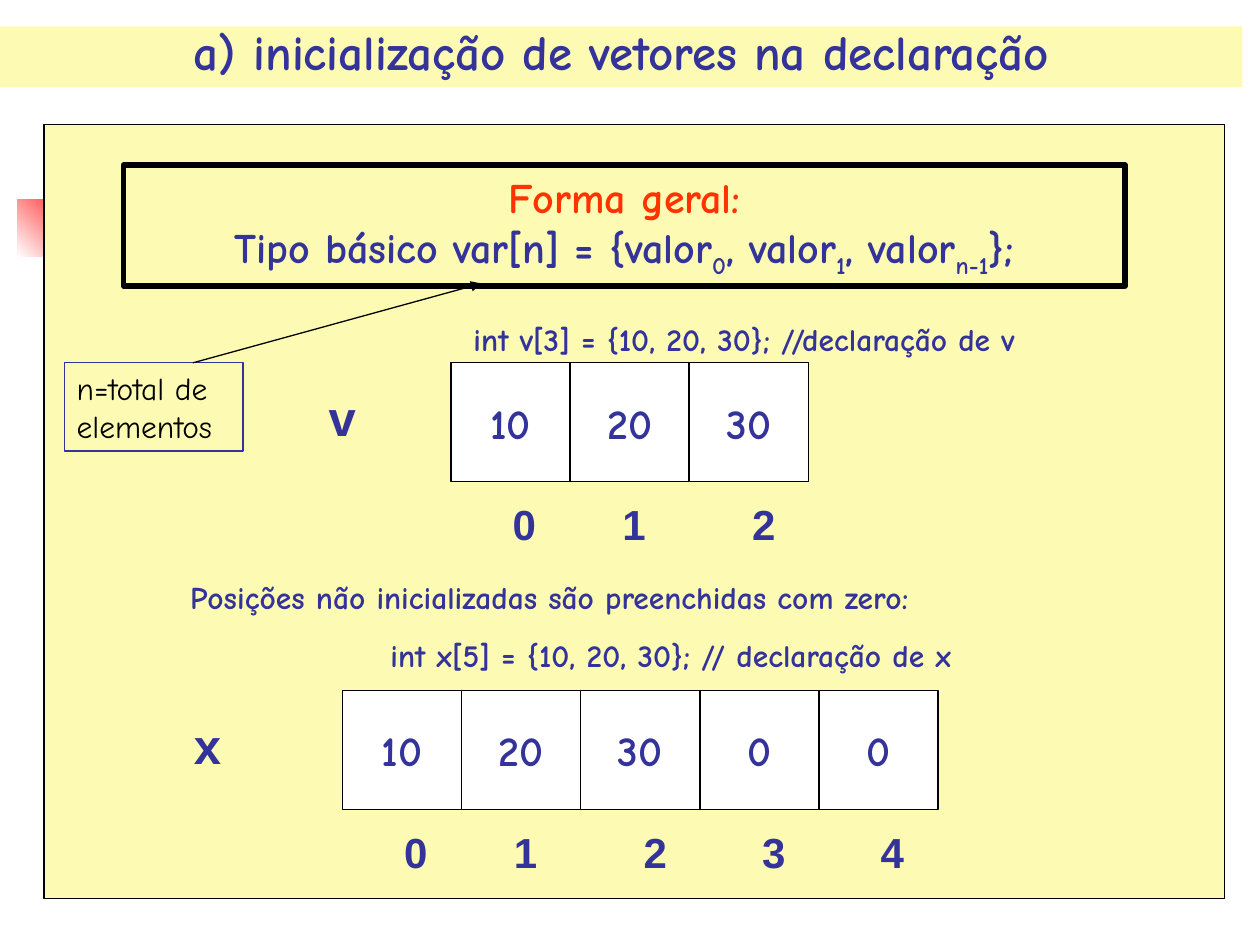
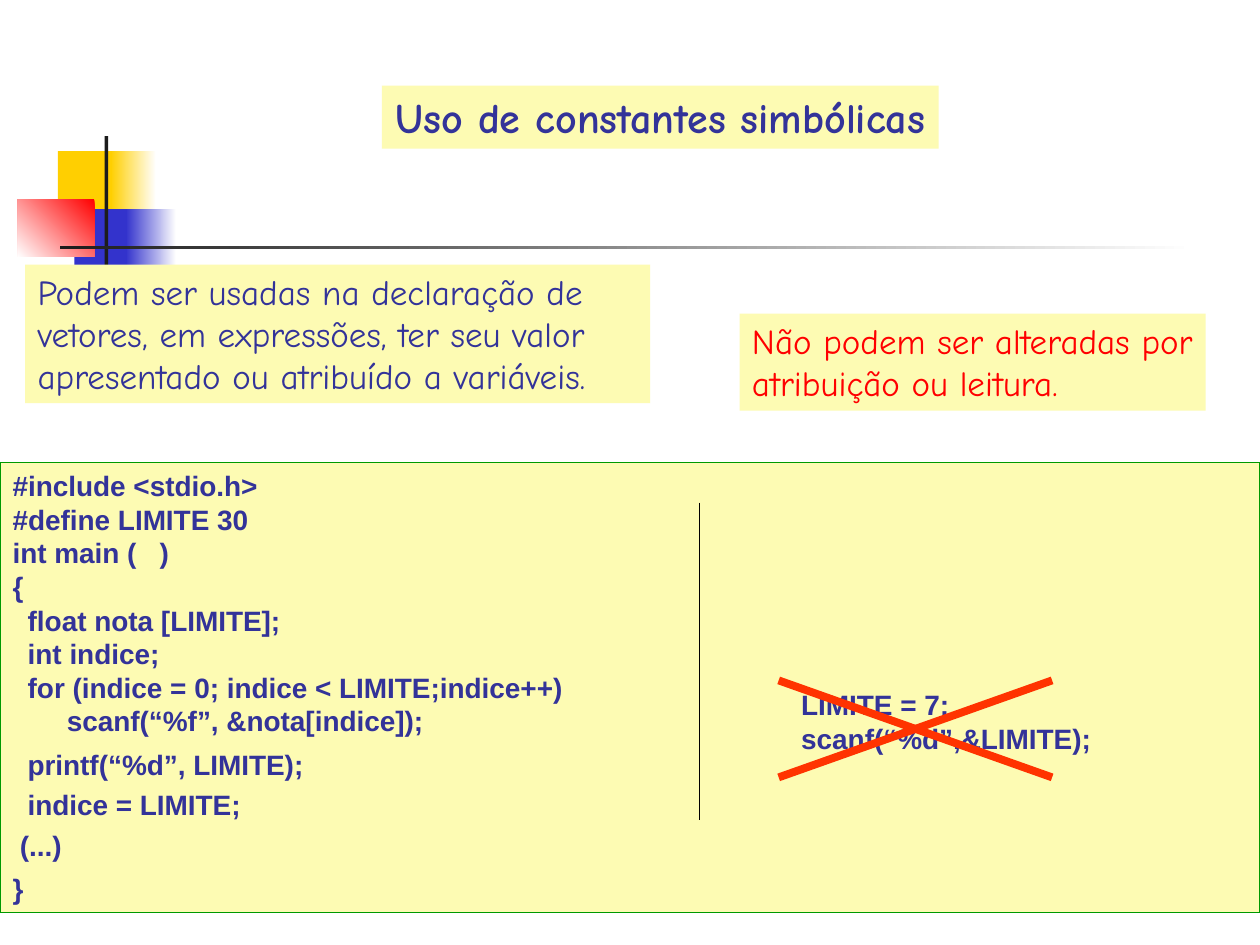
from pptx import Presentation
from pptx import util as u
from pptx.dml.color import RGBColor
from pptx.enum import shapes, text
from pptx.oxml.ns import qn
from lxml import etree

CREAM, NAVY, BLACK, WHITE = "FDFBB3", "333399", "000000", "FFFFFF"
ORANGE, RED, GREEN = "FF3300", "FF0000", "009900"
YELLOW, BLUE, CHARCOAL = "FFCF01", "3333CC", "1C1C1C"
HAND, PLAIN = "Comic Neue", "Arial"
THIN = 0.74
COLUMNS, ROWS = 10, 7.5
CENTER = text.PP_ALIGN.CENTER
MIDDLE = text.MSO_ANCHOR.MIDDLE


def color(hex_code):
    """Turn a hex string into a colour."""
    return RGBColor.from_string(hex_code)


def write(shape, lines, size=18, ink=NAVY, font=HAND, bold=True, align=text.PP_ALIGN.LEFT,
          anchor=text.MSO_ANCHOR.TOP, wrap=True, spacing=None):
    """Fill a shape with lines: each is a text, or (text or spans, options)."""
    frame = shape.text_frame
    frame.word_wrap = wrap
    frame.auto_size = text.MSO_AUTO_SIZE.NONE
    frame.vertical_anchor = anchor
    frame.margin_left = frame.margin_right = u.Inches(0.1)
    frame.margin_top = frame.margin_bottom = u.Inches(0.05)
    for number, line in enumerate(lines):
        content, options = line if isinstance(line, tuple) else (line, {})
        para = frame.add_paragraph() if number else frame.paragraphs[0]
        para.alignment = align
        para.space_before = u.Pt(options.get("before", 0))
        if spacing:
            para.line_spacing = spacing
        properties = para._p.get_or_add_pPr()
        properties.set("marL", str(u.Inches(options.get("indent", 0))))
        properties.set("indent", "0")
        etree.SubElement(properties, qn("a:buNone"))
        spans = [(content, False)] if isinstance(content, str) else content
        for words, lowered in spans:
            span = para.add_run()
            span.text = words
            span.font.size = u.Pt(size)
            span.font.name = font
            span.font.bold = bold
            span.font.color.rgb = color(options.get("ink", ink))
            if lowered:
                span._r.get_or_add_rPr().set("baseline", "-25000")


class Slides:
    """Hold the deck, its grid and the slide being drawn."""

    def __init__(self):
        """Start a deck with a 10 by 7.5 grid."""
        self.deck = Presentation()
        self.deck.slide_width = u.Inches(10)
        self.deck.slide_height = u.Inches(7.5)
        self.page = None

    def across(self, columns):
        """Convert grid columns to a length."""
        return round(self.deck.slide_width * columns / COLUMNS)

    def down(self, rows):
        """Convert grid rows to a length."""
        return round(self.deck.slide_height * rows / ROWS)

    def area(self, column, row, columns, rows):
        """Convert a grid area to left, top, width, height."""
        return self.across(column), self.down(row), self.across(columns), self.down(rows)

    def start(self, layout):
        """Add a slide with the given layout."""
        self.page = self.deck.slides.add_slide(self.deck.slide_layouts[layout])

    def paint(self, shape, fill=None, line=None, width=THIN):
        """Set the fill and outline of a shape."""
        if fill:
            shape.fill.solid()
            shape.fill.fore_color.rgb = color(fill)
        else:
            shape.fill.background()
        if line:
            shape.line.color.rgb = color(line)
            shape.line.width = u.Pt(width)
        else:
            shape.line.fill.background()

    def holder(self, index, area, lines, line=None, **style):
        """Move, paint and fill a placeholder."""
        box = self.page.placeholders[index]
        box.left, box.top, box.width, box.height = self.area(*area)
        self.paint(box, CREAM, line)
        write(box, lines, **style)

    def rect(self, area, fill=None, line=None, width=THIN, lines=(), **style):
        """Draw a rectangle, with text if given."""
        box = self.page.shapes.add_shape(shapes.MSO_SHAPE.RECTANGLE, *self.area(*area))
        box.shadow.inherit = False
        self.paint(box, fill, line, width)
        if lines:
            write(box, lines, **style)
        return box

    def fade(self, area, first, last, angle):
        """Draw a rectangle with a two-colour gradient, angle clockwise."""
        box = self.rect(area)
        box.fill.gradient()
        box.fill.gradient_angle = 360 - angle
        for stop, shade in zip(box.fill.gradient_stops, (first, last)):
            stop.color.rgb = color(shade)

    def label(self, area, lines, **style):
        """Place a text box."""
        box = self.page.shapes.add_textbox(*self.area(*area))
        write(box, lines, **style)

    def line(self, start, end, ink=BLACK, width=THIN, arrow=False):
        """Draw a straight line, with an arrowhead at its end if asked."""
        link = self.page.shapes.add_connector(
            shapes.MSO_CONNECTOR.STRAIGHT, self.across(start[0]), self.down(start[1]),
            self.across(end[0]), self.down(end[1]))
        link.line.color.rgb = color(ink)
        link.line.width = u.Pt(width)
        if arrow:
            etree.SubElement(link.line._get_or_add_ln(), qn("a:tailEnd"), type="triangle")
        etree.SubElement(link._element.spPr, qn("a:effectLst"))

    def red_square(self):
        """Draw the red square of the theme."""
        self.fade((0.14, 1.58, 0.61, 0.46), RED, WHITE, 135)

    def ornament(self):
        """Draw the coloured squares and the crossed bars of the theme."""
        self.rect((0.46, 1.2, 0.48, 0.52), YELLOW)
        self.fade((0.88, 1.2, 0.36, 0.52), WHITE, YELLOW, 180)
        self.rect((0.59, 1.66, 0.46, 0.52), BLUE)
        self.fade((1, 1.66, 0.4, 0.52), WHITE, BLUE, 180)
        self.red_square()
        self.rect((0.83, 1.08, 0.03, 1.15), CHARCOAL)
        self.fade((0.48, 1.95, 9, 0.03), WHITE, CHARCOAL, 180)

    def vector(self, name, name_column, column, row, values):
        """Draw a named row of cells with their indexes below."""
        side = 0.945
        offsets = (0.39, 1.26, 2.29, 3.23, 4.17)
        self.label((name_column, row + 0.15, 0.52, 0.57), [name], size=28, font=PLAIN)
        for index, (value, offset) in enumerate(zip(values, offsets)):
            self.rect((column + index * side, row, side, side), WHITE, BLACK,
                      lines=[str(value)], size=24, align=CENTER, anchor=MIDDLE, wrap=False)
            self.label((column + offset, row + 1.03, 0.39, 0.5), [str(index)],
                       size=24, font=PLAIN)


def initialization(slides):
    """Build the slide on initializing vectors."""
    slides.start(5)
    slides.holder(0, (0, 0.21, 9.86, 0.48), ["a) inicialização de vetores na declaração"],
                  size=28, align=CENTER, spacing=0.8)
    slides.red_square()
    slides.rect((0.35, 0.99, 9.37, 6.14), CREAM, BLACK)
    slides.label((3.66, 2.49, 5.44, 0.4), ["int v[3] = {10, 20, 30}; //declaração de v"])
    slides.vector("v", 2.51, 3.58, 2.88, (10, 20, 30))
    slides.label((1.14, 4.54, 8.03, 0.86), [
        ("Posições não inicializadas são preenchidas com zero:", {"indent": 0.27}),
        ("int x[5] = {10, 20, 30}; // declaração de x", {"indent": 1.86, "before": 11.2})])
    slides.vector("x", 1.44, 2.72, 5.48, (10, 20, 30, 0, 0))
    general_form = [("Tipo básico var[n] = {valor", False), ("0", True), (", valor", False),
                    ("1", True), (", valor", False), ("n-1", True), ("};", False)]
    slides.rect((0.98, 1.31, 7.95, 0.96), line=BLACK, width=3, size=24, align=CENTER,
                lines=[("Forma geral:", {"ink": ORANGE}), (general_form, {})])
    slides.rect((0.51, 2.88, 1.42, 0.7), line=NAVY, lines=["n=total de elementos"],
                ink=BLACK, bold=False)
    slides.line((1.53, 2.88), (3.82, 2.25), arrow=True)


def constants(slides):
    """Build the slide on symbolic constants."""
    code = {"size": 16, "font": PLAIN, "spacing": u.Pt(19.2)}
    step = {"indent": 0.12}
    slides.start(1)
    slides.holder(0, (3.03, 0.68, 4.42, 0.5), ["Uso de constantes simbólicas"],
                  size=24, align=CENTER, wrap=False)
    slides.holder(1, (0, 3.67, 10, 3.57), [
        "#include <stdio.h>", "#define LIMITE 30", "int main (   )", "{",
        ("float nota [LIMITE];", step), ("int indice;", step),
        ("for (indice = 0; indice < LIMITE;indice++)", step),
        ("scanf(“%f”, &nota[indice]);", {"indent": 0.43}),
        ("}", {"before": 4 * 19.2})], line=GREEN, **code)
    slides.ornament()
    slides.label((0, 5.88, 3.39, 1.01), [
        ("printf(“%d”, LIMITE);", step),
        ("indice = LIMITE;", {"indent": 0.12, "before": 4}),
        ("(...)", {"indent": 0.06, "before": 4})], **code)
    slides.rect((0.2, 2.1, 4.96, 1.1), CREAM, size=20, bold=False, lines=[
        "Podem ser usadas na declaração de vetores, em expressões, "
        "ter seu valor apresentado ou atribuído a variáveis."])
    slides.rect((5.87, 2.49, 3.7, 0.77), CREAM, size=20, bold=False, ink=RED,
                lines=["Não podem ser alteradas por atribuição ou leitura."])
    slides.label((6.26, 5.41, 3.42, 0.64), ["LIMITE = 7;", "scanf(“%d”,&LIMITE);"], **code)
    left, right, top, bottom = 6.18, 8.35, 5.4, 6.17
    slides.line((right, top), (left, bottom), ORANGE, 4.51)
    slides.line((left, top), (right, bottom), ORANGE, 4.51)
    slides.line((5.55, 3.99), (5.55, 6.51))


slides = Slides()
initialization(slides)
constants(slides)
slides.deck.save("out.pptx")
